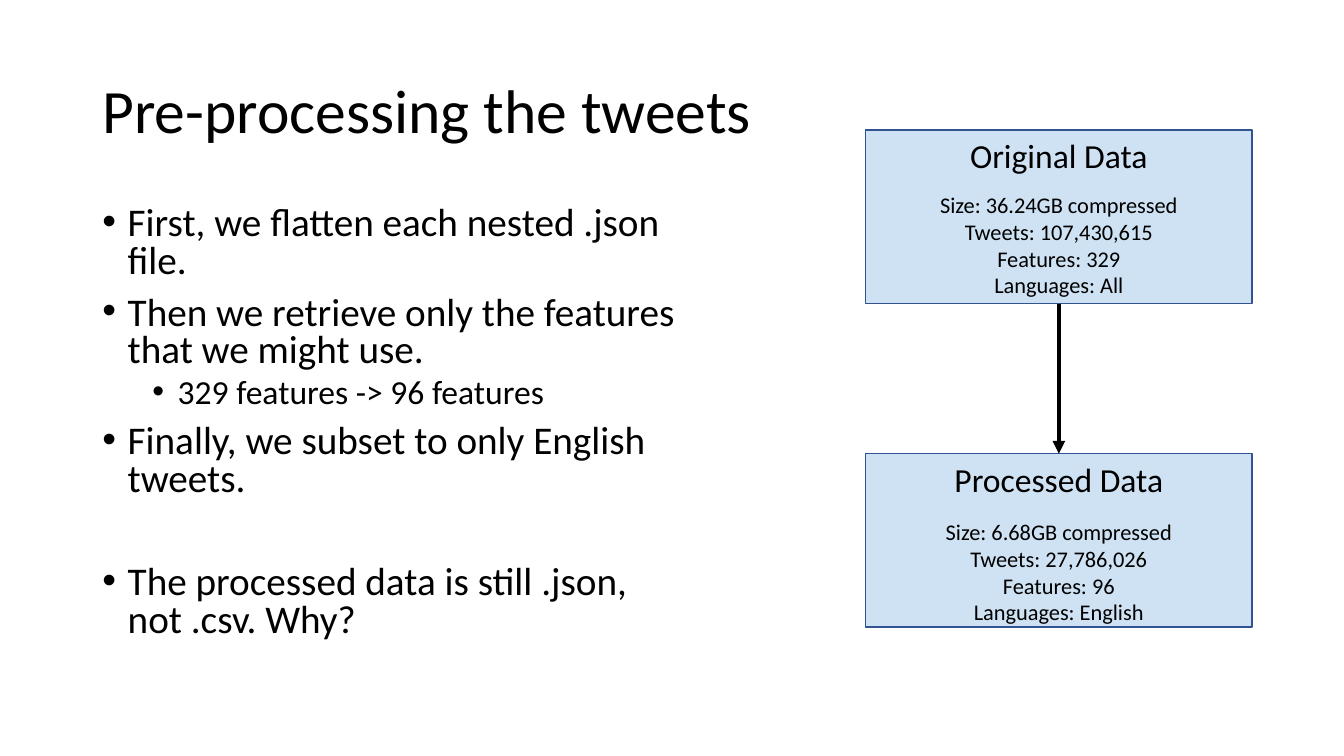
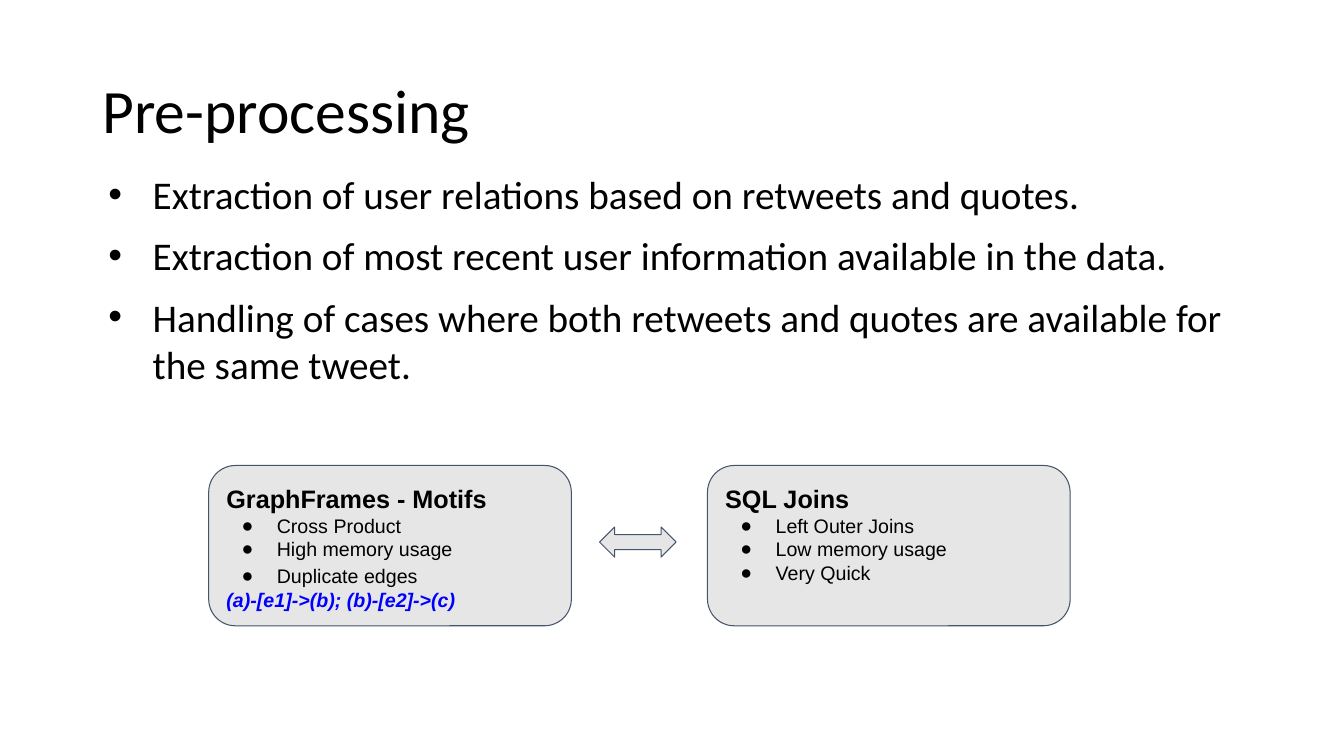
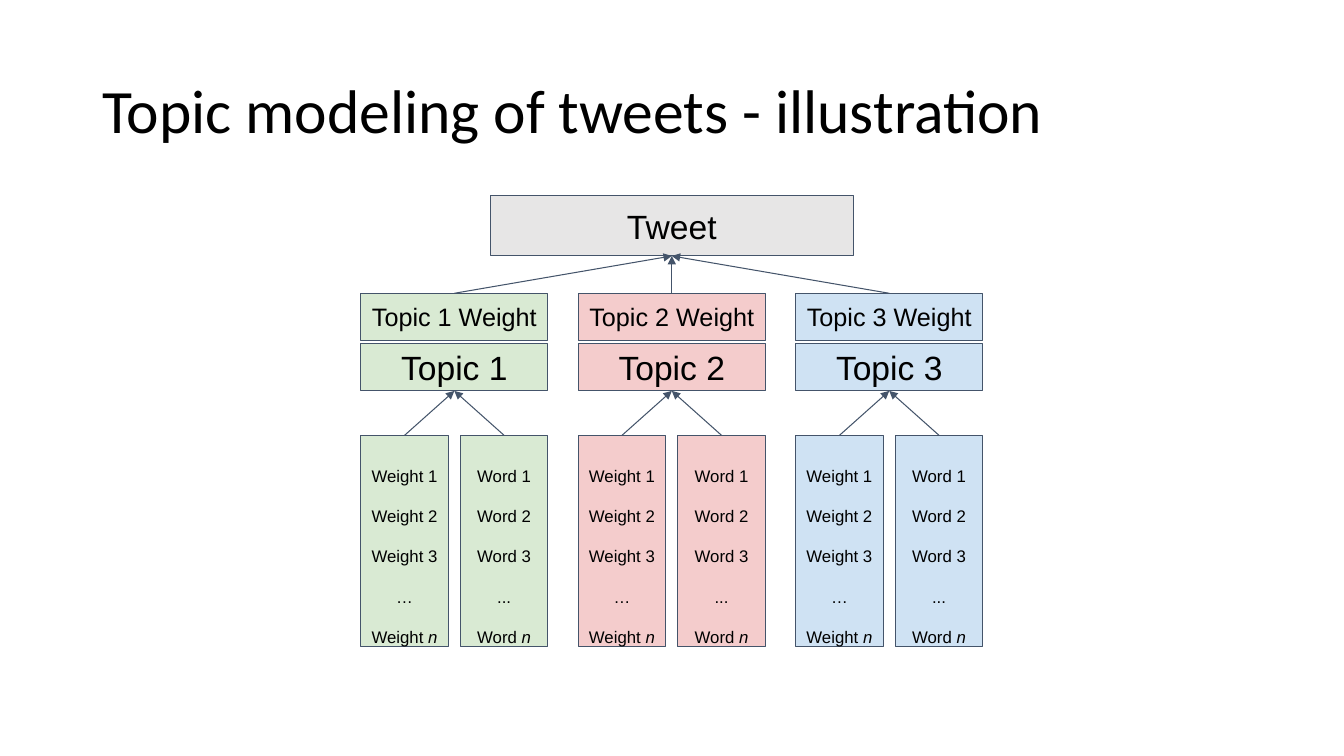
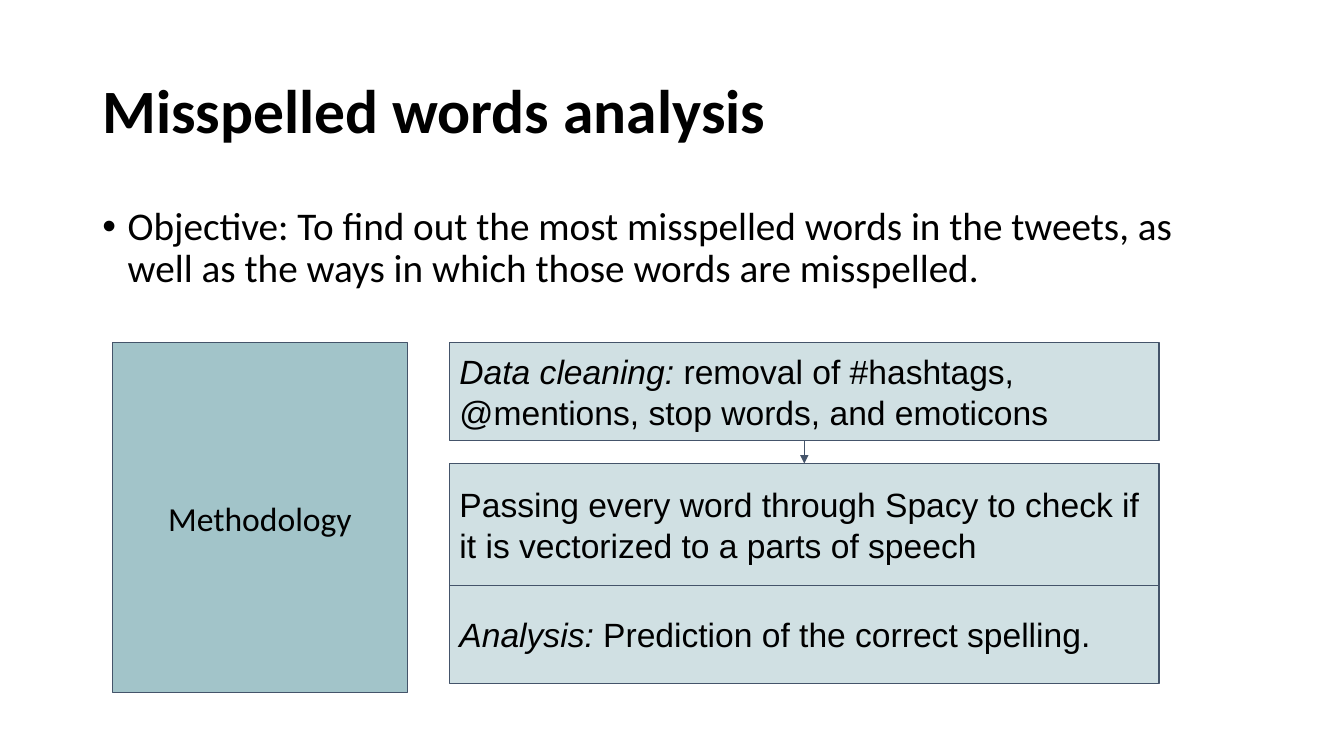
from lxml import etree
from pptx import Presentation
from pptx import util as u
from pptx.dml.color import RGBColor
from pptx.enum import shapes, text
from pptx.oxml import ns

# Shared colours and fonts
BLACK = RGBColor(0x00, 0x00, 0x00)
SLATE = RGBColor(0x44, 0x54, 0x6A)
NAVY = RGBColor(0x31, 0x53, 0x8F)
LINK = RGBColor(0x00, 0x00, 0xFF)
GREY = RGBColor(0xE7, 0xE6, 0xE6)
BLUE = RGBColor(0xCF, 0xE2, 0xF3)
GREEN = RGBColor(0xD9, 0xEA, 0xD3)
PINK = RGBColor(0xF4, 0xCC, 0xCC)
TEAL = RGBColor(0xA2, 0xC4, 0xC9)
PALE = RGBColor(0xD0, 0xE0, 0xE3)
SANS, BODY = "Arial", "Calibri"

KIND = shapes.MSO_SHAPE
LEFT, MID = text.PP_ALIGN.LEFT, text.PP_ALIGN.CENTER
TOP, HALF, LOW = (text.MSO_ANCHOR.TOP, text.MSO_ANCHOR.MIDDLE,
                  text.MSO_ANCHOR.BOTTOM)
HEAD, FOOT = 0, 2  # connection sites of a rectangle


# Text
def write(frame, words, size=24, font=BODY, color=BLACK, bold=False,
          slant=False, align=LEFT, lines=1.0, before=0, mark=None,
          indent=0, hang=0, level=0):
    """Add one paragraph; pieces between asterisks are italic."""
    par = frame.paragraphs[0]
    if par.runs:
        par = frame.add_paragraph()
    par.alignment, par.level, par.line_spacing = align, level, lines
    par.space_before = u.Pt(before)
    if mark:
        props = par._p.get_or_add_pPr()
        props.set("marL", str(u.Cm(indent)))
        props.set("indent", str(-u.Cm(hang)))
        tint = etree.SubElement(props, ns.qn("a:buClr"))
        etree.SubElement(tint, ns.qn("a:srgbClr"), val=str(BLACK))
        etree.SubElement(props, ns.qn("a:buFont"), typeface=SANS)
        etree.SubElement(props, ns.qn("a:buChar"), char=mark)
    for i, piece in enumerate(words.split("*")):
        if piece:
            run = par.add_run()
            run.text = piece
            run.font.size, run.font.name = u.Pt(size), font
            run.font.bold, run.font.italic = bold, slant or i % 2 == 1
            run.font.color.rgb = color


def setup(frame, anchor, pad, foot=None):
    """Wrap the frame and set its insets; 0.25 cm on both sides."""
    frame.word_wrap = True
    frame.vertical_anchor = anchor
    frame.margin_left = frame.margin_right = u.Cm(0.25)
    frame.margin_top = u.Cm(pad)
    frame.margin_bottom = u.Cm(pad if foot is None else foot)
    return frame


def area(slide, x, y, w, h, anchor=TOP):
    box = slide.shapes.add_textbox(u.Cm(x), u.Cm(y), u.Cm(w), u.Cm(h))
    return setup(box.text_frame, anchor, 0.13)


# Shapes
def block(slide, x, y, w, h, fill, kind=KIND.RECTANGLE, line=SLATE,
          width=0.75, anchor=HALF, pad=0.25, foot=None):
    shape = slide.shapes.add_shape(kind, u.Cm(x), u.Cm(y), u.Cm(w), u.Cm(h))
    shape.shadow.inherit = False
    shape.fill.solid()
    shape.fill.fore_color.rgb = fill
    shape.line.color.rgb = line
    shape.line.width = u.Pt(width)
    setup(shape.text_frame, anchor, pad, foot)
    return shape


def arrow(slide, start, exit, goal, entry, color=SLATE, width=0.75):
    line = slide.shapes.add_connector(shapes.MSO_CONNECTOR.STRAIGHT, 0, 0, 0, 0)
    line.begin_connect(start, exit)
    line.end_connect(goal, entry)
    line.line.color.rgb = color
    line.line.width = u.Pt(width)
    etree.SubElement(line.line._get_or_add_ln(), ns.qn("a:tailEnd"),
                     type="triangle")
    etree.SubElement(line._element.spPr, ns.qn("a:effectLst"))


def page(deck, title, bold=False):
    slide = deck.slides.add_slide(deck.slide_layouts[6])
    write(area(slide, 2.33, 1.02, 29.21, 3.68, HALF), title,
          size=44, bold=bold, lines=0.9)
    return slide


# Slides
def tweets(deck):
    slide = page(deck, "Pre-processing the tweets")
    body = area(slide, 2.33, 5.08, 15.11, 12.09)
    main = dict(size=28, lines=0.8, mark="•", indent=0.64, hang=0.64)
    sub = dict(main, size=24, indent=1.9, level=1)
    for words, before, style in (
            ("First, we flatten each nested .json file.", 0, main),
            ("Then we retrieve only the features that we might use.", 10, main),
            ("329 features -> 96 features", 5, sub),
            ("Finally, we subset to only English tweets.", 10, main),
            ("The processed data is still .json, not .csv. Why?", 47, main)):
        write(body, words, before=before, **style)

    # Data boxes
    boxes = []
    for y, foot, name, facts in (
            (3.28, 0.13, "Original Data",
             ("Size: 36.24GB compressed", "Tweets: 107,430,615",
              "Features: 329", "Languages: All")),
            (11.43, 0.04, "Processed Data",
             ("Size: 6.68GB compressed", "Tweets: 27,786,026",
              "Features: 96", "Languages: English"))):
        box = block(slide, 21.82, y, 9.73, 4.37, BLUE, line=NAVY, width=1,
                    anchor=LOW, pad=0.13, foot=foot)
        for fact in facts:
            write(box.text_frame, fact, size=16, align=MID)
        write(area(slide, 22.66, y, 8.05, 1.27), name, align=MID)
        boxes.append(box)
    arrow(slide, boxes[0], FOOT, boxes[1], HEAD, color=BLACK, width=3)


def users(deck):
    slide = page(deck, "Pre-processing")
    body = area(slide, 2.33, 4.29, 29.21, 6.25)
    for i, words in enumerate((
            "Extraction of user relations based on retweets and quotes.",
            "Extraction of most recent user information available in the data.",
            "Handling of cases where both retweets and quotes are available "
            "for the same tweet.")):
        write(body, words, size=28, mark="•", indent=1.27, hang=1.12,
              lines=1.0 if i else 0.9, before=10 if i else 0)

    # Two ways compared
    for x, name, points in (
            (5.26, "GraphFrames - Motifs",
             (("Cross Product", 1), ("High memory usage", 1),
              ("Duplicate edges", 1.15))),
            (17.83, "SQL Joins",
             (("Left Outer Joins", 1), ("Low memory usage", 1),
              ("Very Quick", 1)))):
        card = block(slide, x, 11.73, 9.14, 4.04, GREY,
                     kind=KIND.ROUNDED_RECTANGLE, anchor=TOP).text_frame
        write(card, name, size=18, font=SANS, bold=True)
        for words, lines in points:
            write(card, words, size=14, font=SANS, lines=lines, mark="●",
                  indent=1.27, hang=0.89)
        if name.startswith("Graph"):
            write(card, "(a)-[e1]->(b); (b)-[e2]->(c)", size=14, font=SANS,
                  color=LINK, bold=True, slant=True)
    block(slide, 15.11, 13.28, 1.93, 0.76, GREY, kind=KIND.LEFT_RIGHT_ARROW)


def topics(deck):
    slide = page(deck, "Topic modeling of tweets - illustration")
    left, step, wide, slim = 9.09, 5.48, 4.72, 2.21
    style = dict(font=SANS, align=MID)
    tweet = block(slide, left + step + wide / 2 - 4.57, 4.93, 9.14, 1.52, GREY)
    write(tweet.text_frame, "Tweet", **style)

    for i, fill in enumerate((GREEN, PINK, BLUE)):
        x = left + i * step
        name = f"Topic {i + 1}"
        topic = block(slide, x, 8.66, wide, 1.19, fill)
        write(topic.text_frame, name, **style)
        weight = block(slide, x, 7.39, wide, 1.19, fill)
        write(weight.text_frame, f"{name} Weight", size=18, **style)
        arrow(slide, weight, HEAD, tweet, FOOT)
        for at, word, dots in ((x, "Weight", "…"),
                               (x + wide - slim, "Word", "...")):
            stack = block(slide, at, 10.97, slim, 5.33, fill, anchor=TOP)
            for row in (f"{word} 1", f"{word} 2", f"{word} 3", dots,
                        f"{word} *n*"):
                write(stack.text_frame, row, size=12, lines=2.0, **style)
            arrow(slide, stack, HEAD, topic, FOOT)


def spelling(deck):
    slide = page(deck, "Misspelled words analysis", bold=True)
    write(area(slide, 2.33, 5.08, 29.21, 2.36),
          "Objective: To find out the most misspelled words in the tweets, "
          "as well as the ways in which those words are misspelled.",
          size=28, lines=0.9, mark="•", indent=0.64, hang=0.64)

    # Method and its steps
    method = block(slide, 2.84, 8.64, 7.42, 8.81, TEAL)
    write(method.text_frame, "Methodology", align=MID)
    steps = []
    for y, h, words in (
            (8.64, 2.46, "*Data cleaning:* removal of #hashtags, @mentions, "
                         "stop words, and emoticons"),
            (11.68, 3.08, "Passing every word through Spacy to check if it is "
                          "vectorized to a parts of speech"),
            (14.76, 2.46, "*Analysis:* Prediction of the correct spelling.")):
        step = block(slide, 11.33, y, 17.88, h, PALE)
        write(step.text_frame, words, font=SANS)
        steps.append(step)
    arrow(slide, steps[0], FOOT, steps[1], HEAD)


def main():
    deck = Presentation()
    deck.slide_width, deck.slide_height = u.Cm(33.87), u.Cm(19.05)
    for build in (tweets, users, topics, spelling):
        build(deck)
    deck.save("out.pptx")


if __name__ == "__main__":
    main()
